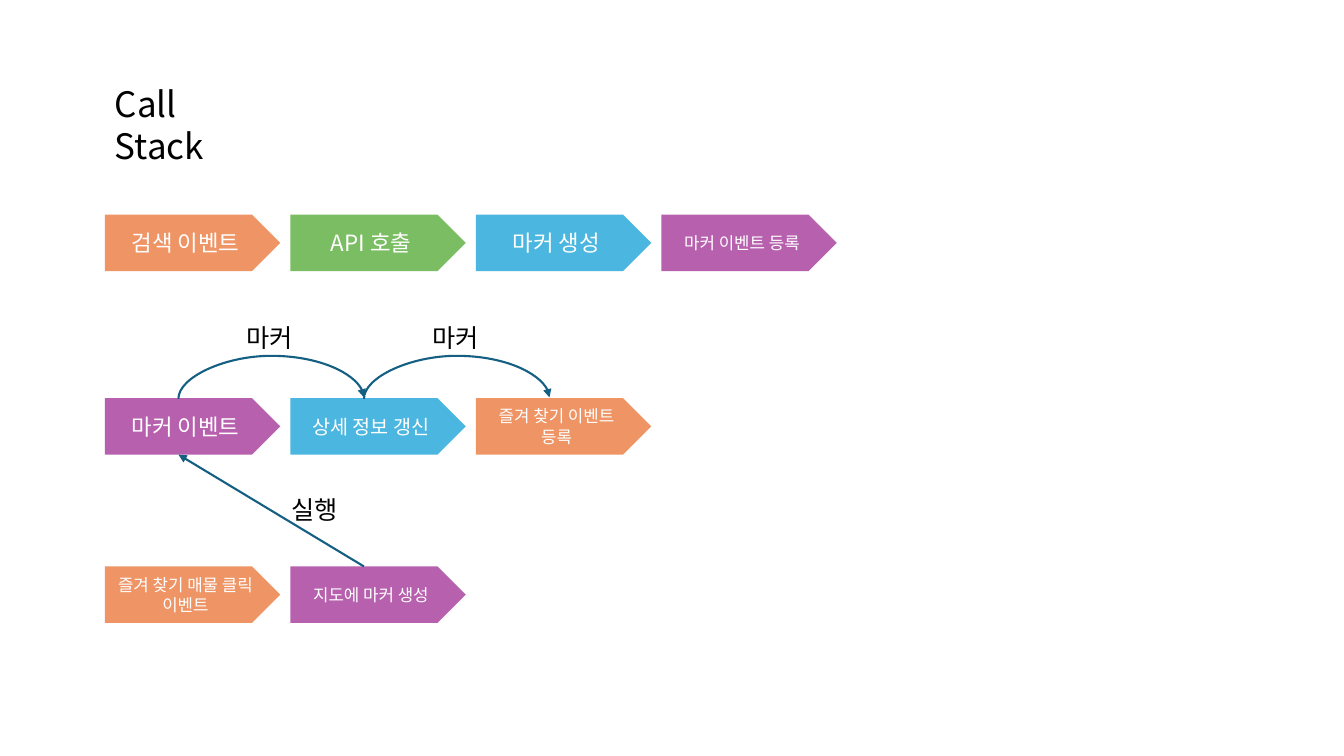
from dataclasses import dataclass

from lxml.etree import SubElement
from pptx import Presentation
from pptx.dml.color import RGBColor
from pptx.enum.shapes import MSO_CONNECTOR as Connector, MSO_SHAPE as Shape
from pptx.enum.text import MSO_ANCHOR as Anchor, MSO_AUTO_SIZE as AutoSize, PP_ALIGN as Align
from pptx.oxml.ns import qn
from pptx.util import Inches, Pt


@dataclass(frozen=True)
class Theme:
    font: str = "Noto Sans CJK KR"
    orange: str = "E97132"
    green: str = "4EA72E"
    blue: str = "0F9ED5"
    purple: str = "A02B93"
    arrow: str = "156082"
    dark: str = "000000"
    light: str = "FFFFFF"
    opacity: int = 75
    title: int = 25
    label: int = 18
    large: int = 16
    medium: int = 14
    small: int = 12
    arrow_width: float = 1.5


@dataclass(frozen=True)
class Grid:
    left: float = 1.04
    pitch: float = 1.84
    width: float = 1.74
    height: float = 0.56
    row_tops: tuple = (2.13, 3.95, 5.62)

    def x(self, column):
        return Inches(self.left + column * self.pitch)

    def y(self, row, rise=0):
        """Top of a row, raised by a number of step heights."""
        return Inches(self.row_tops[row] - rise * self.height)

    @property
    def joint(self):
        """Distance from a step's left side to the middle of its flat top edge."""
        return Inches((self.width - self.height / 2) / 2)


class FlowSlide:
    def __init__(self, deck, theme, grid):
        self.theme, self.grid = theme, grid
        self.page = deck.slides.add_slide(deck.slide_layouts[5])

    def set_text(self, shape, text, size, color, align=Align.LEFT, anchor=Anchor.TOP, wrap=True):
        frame = shape.text_frame
        frame.text = text
        frame.word_wrap = wrap
        frame.auto_size = AutoSize.NONE
        frame.vertical_anchor = anchor
        para = frame.paragraphs[0]
        para.alignment = align
        para.font.size = Pt(size)
        para.font.color.rgb = RGBColor.from_string(color)
        para.font.name = self.theme.font
        defaults = para._p.pPr.find(qn("a:defRPr"))
        SubElement(defaults, qn("a:ea"), typeface=self.theme.font)

    def title(self, text):
        box = self.page.shapes.title
        box.left, box.top = self.grid.x(0), self.grid.y(0, 2.43)
        box.width, box.height = Inches(1.7), Inches(0.52)
        self.set_text(box, text, self.theme.title, self.theme.dark)

    def label(self, text, column, row, rise):
        box = self.page.shapes.add_textbox(
            self.grid.x(column), self.grid.y(row, rise), Inches(0.71), Inches(0.4))
        self.set_text(box, text, self.theme.label, self.theme.dark, wrap=False)

    def step(self, text, column, row, color, size):
        step = self.page.shapes.add_shape(
            Shape.PENTAGON, self.grid.x(column), self.grid.y(row),
            Inches(self.grid.width), Inches(self.grid.height))
        step.shadow.inherit = False
        step.line.fill.background()
        step.fill.solid()
        step.fill.fore_color.rgb = RGBColor.from_string(color)
        tint = step._element.spPr.find(qn("a:solidFill"))[0]
        SubElement(tint, qn("a:alpha"), val=str(self.theme.opacity * 1000))
        self.set_text(step, text, size, self.theme.light, Align.CENTER, Anchor.MIDDLE)
        return step

    def style_arrow(self, arrow):
        arrow.line.color.rgb = RGBColor.from_string(self.theme.arrow)
        arrow.line.width = Pt(self.theme.arrow_width)
        properties = arrow._element.spPr
        SubElement(properties.find(qn("a:ln")), qn("a:tailEnd"), type="triangle")
        SubElement(properties, qn("a:effectLst"))

    def rising_arrow(self, source, target):
        """Straight arrow from the top of one step to the bottom of another."""
        arrow = self.page.shapes.add_connector(Connector.STRAIGHT, 0, 0, 0, 0)
        arrow.begin_connect(source, 0)
        arrow.end_connect(target, 2)
        arrow.begin_x = source.left + self.grid.joint
        arrow.end_x = target.left + self.grid.joint
        self.style_arrow(arrow)

    def arc(self, column, row, rise=0.43):
        """Curved arrow over the gap from one step to the next, rising in inches."""
        thin, span = Pt(1), Inches(self.grid.pitch)
        middle = self.grid.x(column + 0.5) + self.grid.joint
        top = self.grid.y(row)
        arrow = self.page.shapes.add_connector(
            Connector.CURVE, middle + thin // 2, top + span // 2,
            middle - thin // 2, top - span // 2)
        properties = arrow._element.spPr
        properties.find(qn("a:xfrm")).set("rot", str(90 * 60000))
        adjustments = properties.find(qn("a:prstGeom")).find(qn("a:avLst"))
        bend = round(Inches(rise) / thin * 100000)
        SubElement(adjustments, qn("a:gd"), name="adj1", fmla=f"val {bend}")
        self.style_arrow(arrow)


def main():
    deck = Presentation()
    deck.slide_width, deck.slide_height = Inches(13.33), Inches(7.5)
    theme = Theme()
    flow = FlowSlide(deck, theme, Grid())
    flow.title("Call Stack")

    rows = [
        [("검색 이벤트", theme.orange, theme.large),
         ("API 호출", theme.green, theme.large),
         ("마커 생성", theme.blue, theme.large),
         ("마커 이벤트 등록", theme.purple, theme.small)],
        [("마커 이벤트", theme.purple, theme.large),
         ("상세 정보 갱신", theme.blue, theme.medium),
         ("즐겨 찾기 이벤트 등록", theme.orange, theme.small)],
        [("즐겨 찾기 매물 클릭 이벤트", theme.orange, theme.small),
         ("지도에 마커 생성", theme.purple, theme.small)],
    ]
    steps = [[flow.step(text, column, row, color, size)
              for column, (text, color, size) in enumerate(items)]
             for row, items in enumerate(rows)]

    for column in range(2):
        flow.arc(column, 1)
        flow.label("마커", column + 0.71, 1, 1.43)
    flow.rising_arrow(steps[2][1], steps[1][0])
    flow.label("실행", 0.95, 2, 1.36)
    deck.save("out.pptx")


if __name__ == "__main__":
    main()
